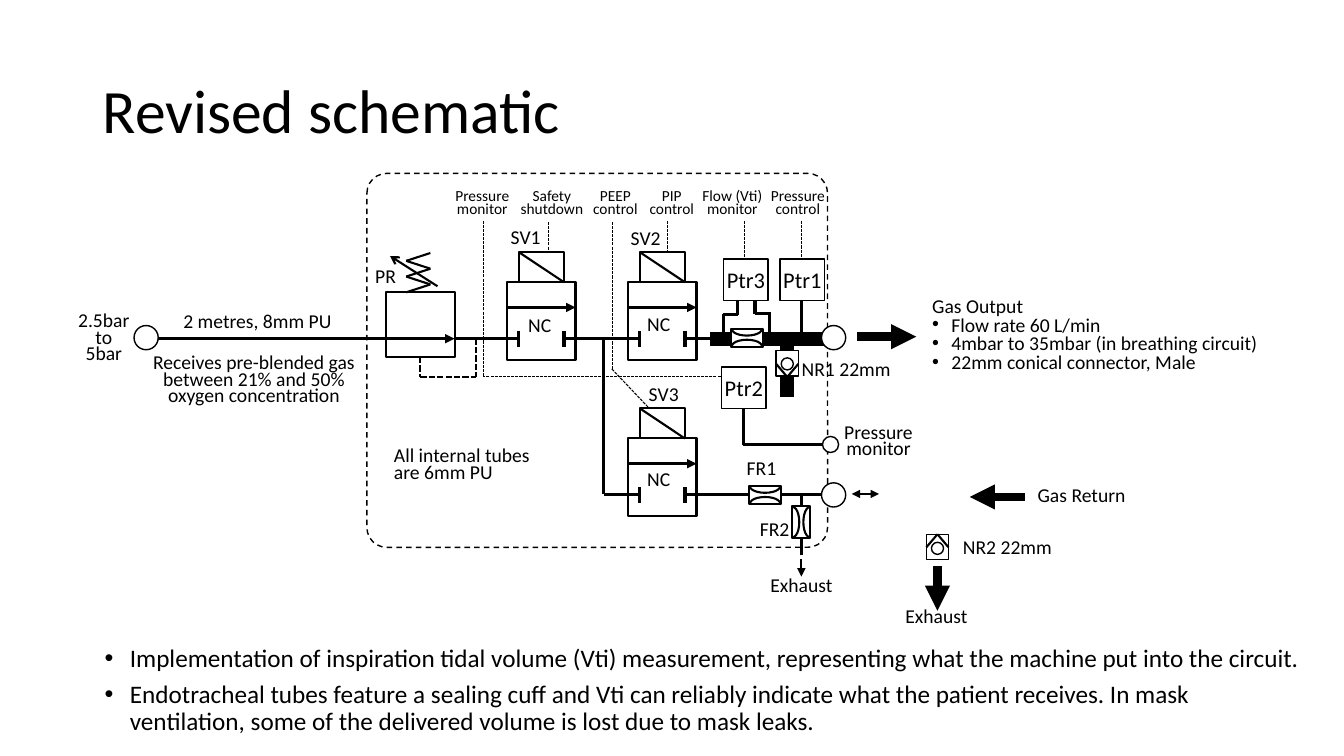
import lxml.etree
import pptx
import pptx.dml.color
import pptx.enum.dml
import pptx.enum.shapes
import pptx.enum.text
import pptx.oxml.ns
import pptx.util

CM_PER_UNIT = 2.54
BLACK = "000000"
WHITE = "FFFFFF"
FONT = "Calibri"
SHAPE = pptx.enum.shapes.MSO_SHAPE
ALIGN = pptx.enum.text.PP_ALIGN
ANCHOR = pptx.enum.text.MSO_ANCHOR
DASHED = pptx.enum.dml.MSO_LINE.DASH
DOTTED = pptx.enum.dml.MSO_LINE.SQUARE_DOT
qn = pptx.oxml.ns.qn


def lengths(*values):
    return [pptx.util.Cm(value * CM_PER_UNIT) for value in values]


def color(value):
    return pptx.dml.color.RGBColor.from_string(value)


def style_line(line, width, dash=None):
    line.color.rgb = color(BLACK)
    line.width = pptx.util.Pt(width)
    if dash:
        line.dash_style = dash


def add_line(shapes, x1, y1, x2, y2, width=2.25, dash=None, head=None, tail=None):
    connector = shapes.add_connector(
        pptx.enum.shapes.MSO_CONNECTOR.STRAIGHT, *lengths(x1, y1, x2, y2))
    style_line(connector.line, width, dash)
    properties = connector._element.spPr
    outline = properties.find(qn("a:ln"))
    for tag, kind in (("a:headEnd", head), ("a:tailEnd", tail)):
        if kind:
            lxml.etree.SubElement(outline, qn(tag), type=kind)
    lxml.etree.SubElement(properties, qn("a:effectLst"))


def add_outline(shapes, kind, left, top, width, height, line=1, fill=WHITE, dash=None, rotation=0):
    shape = shapes.add_shape(kind, *lengths(left, top, width, height))
    shape.shadow.inherit = False
    shape.rotation = rotation
    if fill:
        shape.fill.solid()
        shape.fill.fore_color.rgb = color(fill)
    else:
        shape.fill.background()
    style_line(shape.line, line, dash)
    return shape


def add_circle(shapes, center_x, center_y, size):
    add_outline(shapes, SHAPE.OVAL, center_x - size / 2, center_y - size / 2, size, size)


def format_paragraph(paragraph, size, align, spacing):
    paragraph.alignment = align
    paragraph.line_spacing = spacing
    for line_break in paragraph._p.findall(qn("a:br")):
        lxml.etree.SubElement(line_break, qn("a:rPr"), sz=str(size * 100))
    for run in paragraph.runs:
        run.font.size = pptx.util.Pt(size)
        run.font.name = FONT
        run.font.color.rgb = color(BLACK)


def add_bullet(paragraph, indent):
    properties = paragraph._p.get_or_add_pPr()
    margin = lengths(indent)[0]
    properties.set("marL", str(margin))
    properties.set("indent", str(-margin))
    lxml.etree.SubElement(properties, qn("a:buFont"), typeface="Arial")
    lxml.etree.SubElement(properties, qn("a:buChar"), char="•")


def add_text(shapes, text, left, top, width, height, size=14, align=ALIGN.CENTER, spacing=0.7,
             indent=0, first_bullet=0, fit=True, anchor=ANCHOR.TOP, after=0):
    frame = shapes.add_textbox(*lengths(left, top, width, height)).text_frame
    frame.word_wrap = True
    frame.vertical_anchor = anchor
    frame.auto_size = getattr(pptx.enum.text.MSO_AUTO_SIZE, "SHAPE_TO_FIT_TEXT" if fit else "NONE")
    frame.text = text
    for index, paragraph in enumerate(frame.paragraphs):
        if indent and index >= first_bullet:
            add_bullet(paragraph, indent)
        format_paragraph(paragraph, size, align, spacing)
        paragraph.space_after = pptx.util.Pt(after)


def add_transducer(shapes, name, left, top):
    frame = add_outline(shapes, SHAPE.RECTANGLE, left, top, 0.44, 0.41).text_frame
    frame.word_wrap = False
    frame.vertical_anchor = ANCHOR.MIDDLE
    frame.text = name
    format_paragraph(frame.paragraphs[0], 16, ALIGN.CENTER, 1.0)


def add_solenoid_valve(shapes, left, top):
    group = shapes.add_group_shape().shapes
    right, inner_left, inner_right = left + 0.68, left + 0.115, left + 0.565
    port = top + 0.56
    add_outline(group, SHAPE.RECTANGLE, left, top, 0.68, 0.77, 1.5)
    add_outline(group, SHAPE.RECTANGLE, inner_left, top - 0.3, 0.45, 0.3, 1.5)
    add_line(group, inner_left, top - 0.3, inner_right, top, 1.5)
    add_line(group, left, top + 0.25, right, top + 0.25, tail="triangle")
    for edge, stop in ((left, inner_left), (right, inner_right)):
        add_line(group, edge, port, stop, port)
        add_line(group, stop, port - 0.08, stop, port + 0.08)


def add_restrictor(shapes, center_x, center_y, horizontal):
    group = shapes.add_group_shape().shapes
    rotation = 270 if horizontal else 0
    add_outline(group, SHAPE.RECTANGLE, center_x - 0.09, center_y - 0.16, 0.18, 0.32, 1.5,
                rotation=rotation)
    for offset in (-0.085, 0.085):
        arc_x, arc_y = (center_x, center_y - offset) if horizontal else (center_x + offset, center_y)
        arc = add_outline(group, SHAPE.ARC, arc_x - 0.065, arc_y - 0.15, 0.13, 0.3, 1.5, None,
                          rotation=rotation)
        arc.adjustments[0] = 162
        arc.adjustments[1] = 56.216
        if offset > 0:
            arc._element.spPr.find(qn("a:xfrm")).set("flipH", "1")


def add_check_valve(shapes, center_x, top, ball_y, arm_y, apex_y):
    add_outline(shapes, SHAPE.RECTANGLE, center_x - 0.11, top, 0.22, 0.25)
    add_circle(shapes, center_x, ball_y, 0.12)
    for side in (-0.11, 0.11):
        add_line(shapes, center_x + side, arm_y, center_x, apex_y, 1.5)


def add_regulator(shapes):
    add_outline(shapes, SHAPE.RECTANGLE, 3.83, 2.9, 0.68, 0.64, 1.5)
    add_line(shapes, 3.83, 3.36, 4.51, 3.36, tail="triangle")
    for ends in ((4.17, 3.54, 4.17, 3.74), (4.72, 3.36, 4.72, 3.74), (4.17, 3.74, 4.72, 3.74)):
        add_line(shapes, *ends, 1.5, DOTTED)
    for step in range(5):
        start, end = (4.03, 4.27) if step % 2 == 0 else (4.27, 4.03)
        add_line(shapes, start, 2.9 - 0.078 * step, end, 2.9 - 0.078 * (step + 1), 1.5)
    add_line(shapes, 4.34, 2.84, 3.87, 2.54, 1.5, tail="arrow")


def add_pipes(shapes):
    for ends in ((7.19, 3.74, 4.79, 3.74), (4.8, 2.19, 4.8, 3.73), (5.44, 2.2, 5.44, 2.51),
                 (6.08, 2.2, 6.08, 3.66), (6.07, 3.66, 6.43, 4.04), (6.62, 2.19, 6.62, 2.5),
                 (7.39, 2.19, 7.39, 2.59), (7.95, 2.19, 7.95, 2.59)):
        add_line(shapes, *ends, 0.75, DOTTED)
    for ends in ((7.95, 3.35, 7.95, 2.96), (7.95, 5.51, 7.95, 4.92), (8.19, 4.91, 5.99, 4.91),
                 (7.53, 3.36, 1.47, 3.36), (5.99, 4.9, 5.99, 3.37), (7.38, 4.41, 7.38, 4.02),
                 (8.19, 4.41, 7.37, 4.41), (7.49, 3.12, 7.49, 2.96), (7.32, 3.13, 7.32, 2.97),
                 (7.18, 3.36, 7.18, 3.12), (7.63, 3.35, 7.63, 3.11), (7.32, 3.12, 7.17, 3.12),
                 (7.65, 3.11, 7.49, 3.11)):
        add_line(shapes, *ends)
    for ends in ((7.81, 3.36, 7.81, 3.94), (7.04, 3.36, 8.22, 3.36)):
        add_line(shapes, *ends, 10)


def add_labels(shapes):
    for text, left, width in (("Pressure\nmonitor", 4.2, 1.17), ("Safety shutdown", 4.89, 1.17),
                              ("PEEP\vcontrol", 5.52, 1.17), ("PIP\vcontrol", 6.08, 1.17),
                              ("Flow (Vti)\nmonitor", 6.84, 0.85), ("Pressure\ncontrol", 7.49, 0.85)):
        add_text(shapes, text, left, 1.85, width, 0.37, 11)
    for text, left, top, width in (
            ("NR1 22mm", 7.68, 3.56, 1.43), ("PR", 3.54, 2.63, 0.57), ("SV1", 4.93, 2.25, 0.57),
            ("NC", 5.07, 3.12, 0.57), ("SV2", 6.12, 2.26, 0.57), ("NC", 6.25, 3.11, 0.57),
            ("SV3", 6.3, 3.8, 0.57), ("NC", 6.25, 4.65, 0.57), ("FR1", 7.15, 4.54, 0.81),
            ("FR2", 7.28, 5.14, 0.81), ("2 metres, 8mm PU", 1.62, 3.08, 1.87),
            ("NR2 22mm", 9.28, 5.32, 1.43), ("Gas Return", 10.12, 4.81, 1.22),
            ("Exhaust", 8.68, 6.01, 1.22), ("Exhaust", 7.34, 5.7, 1.22)):
        add_text(shapes, text, left, top, width, 0.28)
    add_text(shapes, "Receives pre-blended gas\vbetween 21% and 50% oxygen concentration",
             1.23, 3.49, 2.58, 0.61)
    add_text(shapes, "2.5bar\vto\v5bar", 0.59, 3.07, 0.88, 0.61)
    add_text(shapes, "Pressure\vmonitor", 8.19, 4.18, 1.05, 0.44)
    add_text(shapes, "All internal tubes are 6mm PU", 3.81, 4.41, 1.78, 0.44, align=ALIGN.LEFT)
    add_text(shapes, "Gas Output\nFlow rate 60 L/min\n4mbar to 35mbar (in breathing circuit)\n"
             "22mm conical connector, Male", 9.15, 2.91, 3.46, 0.86, align=ALIGN.LEFT, spacing=0.8,
             indent=0.19, first_bullet=1)


def main():
    presentation = pptx.Presentation()
    presentation.slide_width, presentation.slide_height = lengths(13.333, 7.5)
    slide = presentation.slides.add_slide(presentation.slide_layouts[6])
    shapes = slide.shapes
    add_text(shapes, "Revised schematic", 0.92, 0.4, 11.5, 1.45, 44, ALIGN.LEFT, 0.9,
             fit=False, anchor=ANCHOR.MIDDLE)
    add_text(shapes, "Implementation of inspiration tidal volume (Vti) measurement, representing "
             "what the machine put into the circuit.\nEndotracheal tubes feature a sealing cuff and "
             "Vti can reliably indicate what the patient receives. In mask ventilation, some of the "
             "delivered volume is lost due to mask leaks.", 0.94, 6.36, 12.1, 1.14, 18, ALIGN.LEFT,
             0.9, indent=0.25, fit=False, after=6)
    housing = add_outline(shapes, SHAPE.ROUNDED_RECTANGLE, 3.64, 1.72, 4.57, 3.71, 1, None, DASHED)
    housing.adjustments[0] = 0.053
    add_pipes(shapes)
    for left, top in ((6.23, 2.8), (5.03, 2.8), (6.23, 4.35)):
        add_solenoid_valve(shapes, left, top)
    add_regulator(shapes)
    for center_x, center_y, horizontal in ((7.59, 4.91, True), (7.95, 5.18, False), (7.41, 3.35, True)):
        add_restrictor(shapes, center_x, center_y, horizontal)
    add_check_valve(shapes, 7.81, 3.48, 3.61, 3.61, 3.74)
    add_check_valve(shapes, 9.3, 5.3, 5.44, 5.43, 5.3)
    for center_x, center_y, size in ((8.27, 3.35, 0.24), (8.27, 4.91, 0.24), (1.45, 3.35, 0.24),
                                     (8.24, 4.41, 0.16)):
        add_circle(shapes, center_x, center_y, size)
    for name, left, top in (("Ptr1", 7.74, 2.57), ("Ptr2", 7.16, 3.64), ("Ptr3", 7.18, 2.57)):
        add_transducer(shapes, name, left, top)
    for ends in ((8.5, 3.34, 9.09, 3.34), (10.17, 4.93, 9.62, 4.93), (9.3, 5.62, 9.3, 6.06)):
        add_line(shapes, *ends, 6, tail="triangle")
    add_line(shapes, 8.45, 4.9, 8.72, 4.9, 1.5, head="triangle", tail="triangle")
    add_line(shapes, 7.95, 5.55, 7.95, 5.72, 1.5, tail="triangle")
    add_labels(shapes)
    presentation.save("out.pptx")


if __name__ == "__main__":
    main()
